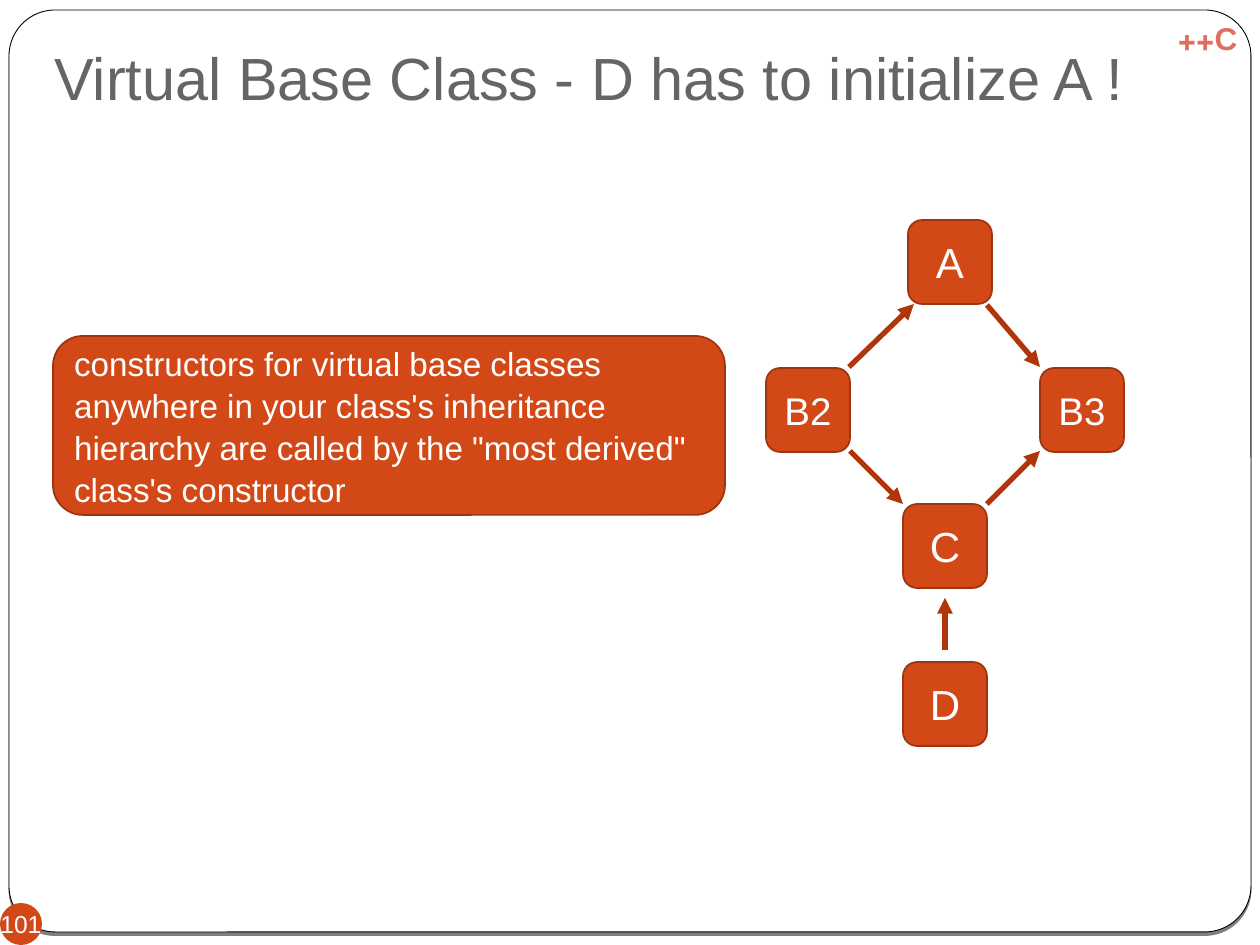
from dataclasses import dataclass

from pptx import Presentation
from pptx.dml.color import RGBColor
from pptx.enum.shapes import MSO_CONNECTOR, MSO_SHAPE
from pptx.enum.text import MSO_ANCHOR, PP_ALIGN
from pptx.oxml import parse_xml
from pptx.oxml.ns import nsdecls
from pptx.oxml.xmlchemy import OxmlElement
from pptx.util import Emu, Pt

RECTANGLE, ROUNDED, OVAL = MSO_SHAPE.RECTANGLE, MSO_SHAPE.ROUNDED_RECTANGLE, MSO_SHAPE.OVAL
LEFT, CENTER = PP_ALIGN.LEFT, PP_ALIGN.CENTER
TOP, MIDDLE, BOTTOM = MSO_ANCHOR.TOP, MSO_ANCHOR.MIDDLE, MSO_ANCHOR.BOTTOM
STRAIGHT = MSO_CONNECTOR.STRAIGHT


@dataclass(frozen=True)
class Theme:
    font: str = "Arial"
    white: str = "FFFFFF"
    black: str = "000000"
    title: str = "696464"
    course: str = "DE6F61"
    accent: str = "D34817"
    outline: str = "9C3510"
    arrow: str = "B0350B"
    title_size: int = 34
    letter_size: int = 24
    pair_size: int = 22
    callout_size: int = 19
    course_size: int = 18
    number_size: int = 14


THEME = Theme()

# Content: lengths in px, 126 to the inch
PAGE_WIDTH, PAGE_HEIGHT = 1260, 945
TITLE = "Virtual Base Class - D has to initialize A !"
COURSE = "C++"
PAGE_NUMBER = "101"
CALLOUT = ("constructors for virtual base classes anywhere in your class's inheritance "
           "hierarchy are called by the \"most derived\" class's constructor")
NODE_SIZE = 84
NODES = {"A": (908, 220), "B2": (766, 368), "B3": (1040, 368), "C": (903, 504), "D": (903, 662)}
ARROWS = [
    ((849, 367), (914, 304)),  # B2 to A
    ((987, 504), (1040, 451)),  # C to B3
    ((987, 305), (1040, 367)),  # A to B3
    ((850, 451), (903, 504)),  # B2 to C
    ((945, 650), (945, 598)),  # D to C
]


def px(length):
    return Emu(round(length * 914400 / 126))


def color(value):
    return RGBColor.from_string(value)


def write(box, text, size, ink, align=CENTER, anchor=MIDDLE, bold=False, spacing=None):
    frame = box.text_frame
    frame.text = text
    frame.word_wrap = True
    frame.vertical_anchor = anchor
    para = frame.paragraphs[0]
    para.alignment = align
    if spacing:
        para.line_spacing = spacing
    font = para.runs[0].font
    font.name, font.size, font.bold = THEME.font, Pt(size), bold
    font.color.rgb = color(ink)
    return frame


def add_box(page, kind, place, fill, line=None, weight=1):
    box = page.shapes.add_shape(kind, *map(px, place))
    box.shadow.inherit = False
    box.fill.solid()
    box.fill.fore_color.rgb = color(fill)
    if line:
        box.line.color.rgb = color(line)
        box.line.width = Pt(weight)
    else:
        box.line.fill.background()
    return box


def add_arrow(page, start, end):
    arrow = page.shapes.add_connector(STRAIGHT, *map(px, start + end))
    arrow.line.color.rgb = color(THEME.arrow)
    arrow.line.width = Pt(3)
    head = OxmlElement("a:tailEnd")
    head.set("type", "triangle")
    arrow.line._get_or_add_ln().append(head)
    arrow._element.spPr.append(OxmlElement("a:effectLst"))


def add_frame(page):
    add_box(page, RECTANGLE, (0, 0, PAGE_WIDTH, PAGE_HEIGHT), THEME.white)
    card = add_box(page, ROUNDED, (9, 10, 1242, 922), THEME.white, THEME.black, 0.5)
    card.adjustments[0] = 0.05
    effects = card._element.spPr.find("{*}effectLst")
    effects.append(parse_xml(
        f'<a:outerShdw {nsdecls("a")} blurRad="0" dist="25400" dir="5400000">'
        f'<a:srgbClr val="{THEME.black}"><a:alpha val="50000"/></a:srgbClr></a:outerShdw>'))


def add_headings(page):
    course = page.shapes.add_textbox(*map(px, (1155, 13, 105, 50)))
    frame = write(course, COURSE, THEME.course_size, THEME.course, anchor=TOP, bold=True)
    frame.paragraphs[0]._p.get_or_add_pPr().set("rtl", "1")

    title = page.shapes.add_textbox(*map(px, (42, 38, 1176, 88)))
    frame = write(title, TITLE, THEME.title_size, THEME.title, LEFT, BOTTOM, spacing=0.9)
    frame.margin_bottom = px(13)


def add_page_number(page):
    badge = add_box(page, OVAL, (0, 903, 42, 42), THEME.accent)
    frame = write(badge, PAGE_NUMBER, THEME.number_size, THEME.white)
    frame.word_wrap = False
    frame.margin_left = frame.margin_right = frame.margin_top = frame.margin_bottom = 0


def add_diagram(page):
    for name, corner in NODES.items():
        node = add_box(page, ROUNDED, corner + (NODE_SIZE, NODE_SIZE), THEME.accent, THEME.outline)
        size = THEME.letter_size if len(name) == 1 else THEME.pair_size
        write(node, name, size, THEME.white)
    for start, end in ARROWS:
        add_arrow(page, start, end)


def main():
    deck = Presentation()
    deck.slide_width, deck.slide_height = px(PAGE_WIDTH), px(PAGE_HEIGHT)
    page = deck.slides.add_slide(deck.slide_layouts[6])
    add_frame(page)
    add_headings(page)
    add_page_number(page)
    add_diagram(page)
    callout = add_box(page, ROUNDED, (53, 336, 672, 179), THEME.accent, THEME.outline)
    write(callout, CALLOUT, THEME.callout_size, THEME.white, LEFT, spacing=1.05)
    deck.save("out.pptx")


if __name__ == "__main__":
    main()
